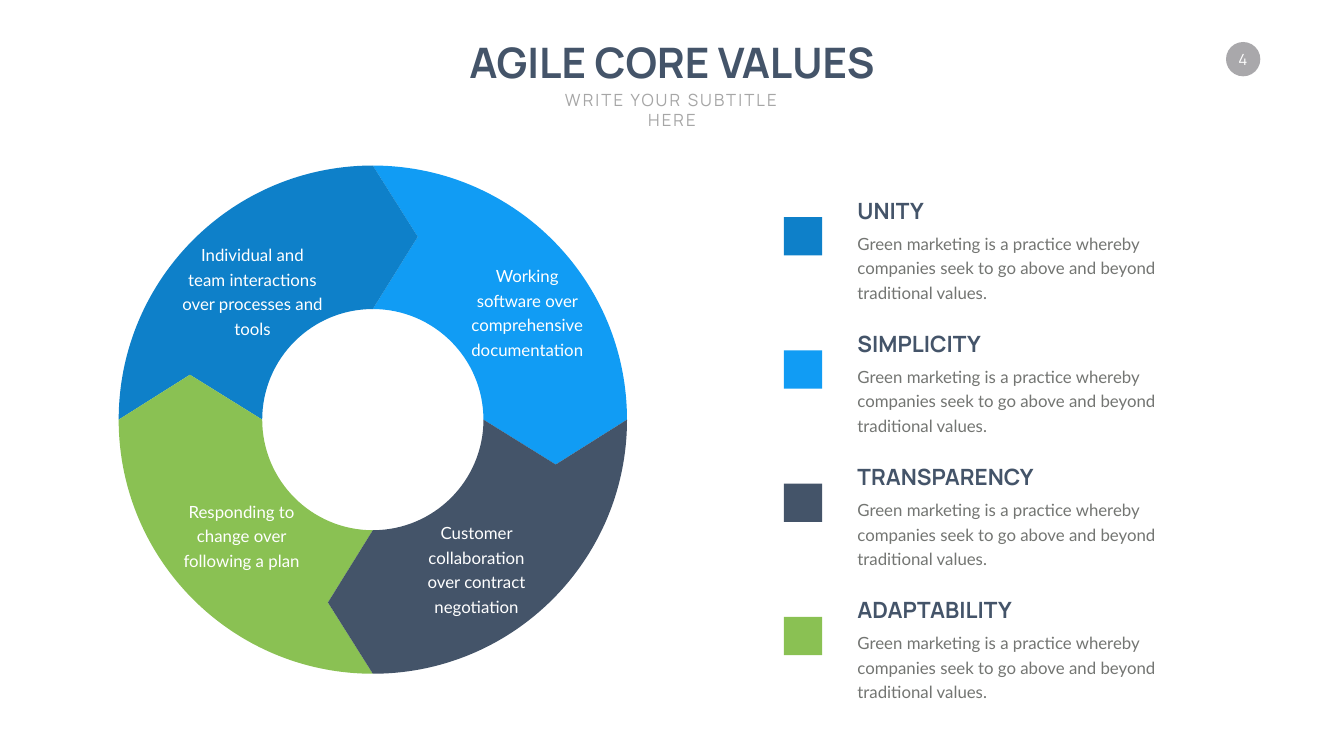
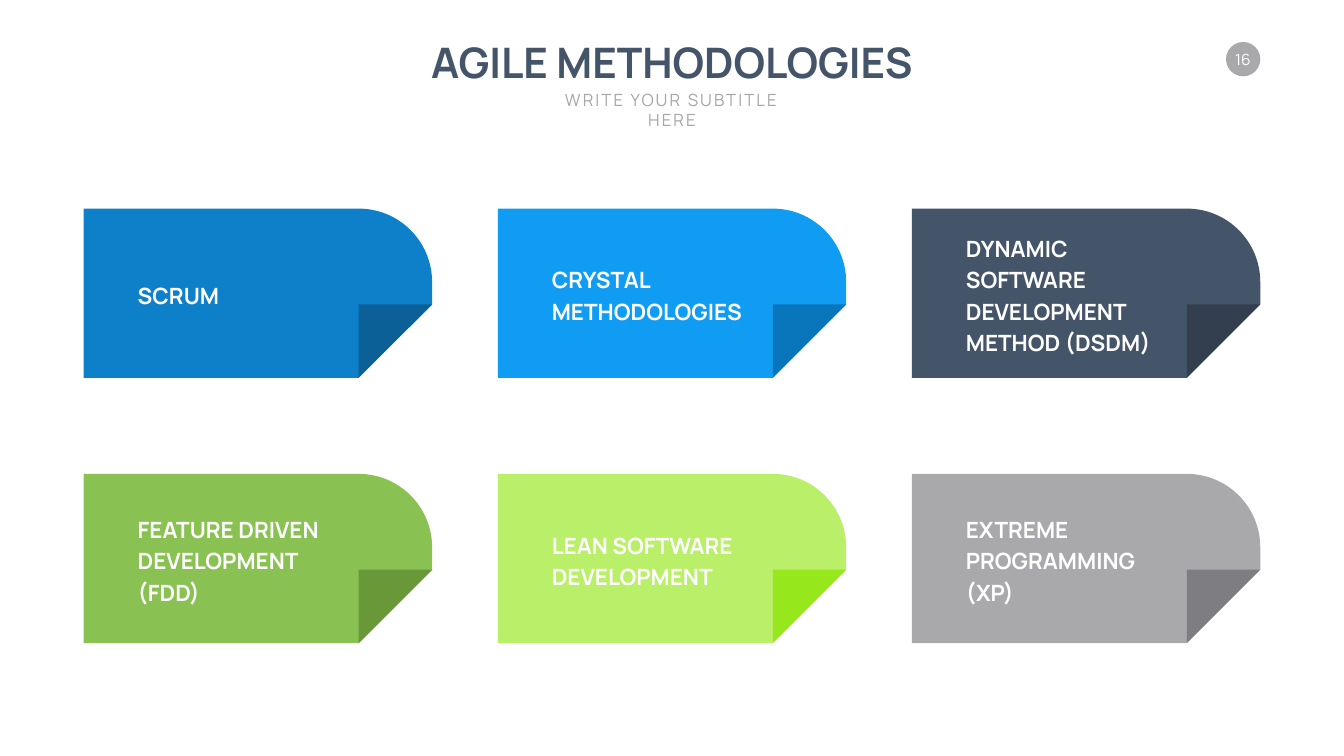
"""Build two agile slides: a ring of core values and a grid of methodologies."""
import dataclasses
import math

import lxml.etree
import pptx
import pptx.dml.color
import pptx.enum.shapes
import pptx.enum.text
import pptx.oxml.ns
import pptx.util

Pt = pptx.util.Pt
ALIGN = pptx.enum.text.PP_ALIGN
ANCHOR = pptx.enum.text.MSO_ANCHOR
SHAPE = pptx.enum.shapes.MSO_SHAPE


@dataclasses.dataclass(frozen=True)
class Style:
    font: str
    size: int
    color: str
    bold: bool = False
    leading: int = 0
    tracking: int = 0


class Theme:
    width, height = 1919.5, 1080
    white = "FFFFFF"
    blue, sky, navy = "0E80C9", "119CF4", "445469"
    green, lime, gray = "8AC153", "BAEF69", "A9A8AB"
    folds = {blue: "0A6097", sky: "0976BB", navy: "333F4F",
             green: "689837", lime: "96E71B", gray: "7E7D81"}
    title = Style("Manrope", 60, navy, bold=True)
    subtitle = Style("Manrope", 24, "A6A6A6", tracking=3)
    number = Style("Manrope", 22, white)
    heading = Style("Manrope", 32, navy, bold=True)
    card = Style("Manrope", 32, white, bold=True, leading=45)
    ring = Style("Lato", 24, white, leading=35)
    body = Style("Lato", 24, "737572", leading=35)


def polar(center, radius, degrees):
    angle = math.radians(degrees)
    return center[0] + radius * math.cos(angle), center[1] + radius * math.sin(angle)


def quarter_curve(center, radius, start, turn):
    reach = math.hypot(1, 0.5523)
    lean = math.copysign(math.degrees(math.atan(0.5523)), turn)
    end = start + turn
    return [polar(center, radius * reach, start + lean),
            polar(center, radius * reach, end - lean),
            polar(center, radius, end)]


class Builder:
    def __init__(self, theme):
        self.theme = theme
        self.deck = pptx.Presentation()
        self.deck.slide_width = Pt(theme.width)
        self.deck.slide_height = Pt(theme.height)
        self.page = None

    def start_page(self, title, title_width, number):
        self.page = self.deck.slides.add_slide(self.deck.slide_layouts[5])
        self.shape(SHAPE.OVAL, (1751, 60, 49, 49), self.theme.gray)
        self.text((1759, 71.3, 32.4, 26.6), [number], self.theme.number, ALIGN.CENTER,
                  ANCHOR.MIDDLE, wrap=False, inset=0)
        middle = self.theme.width / 2
        self.text((middle - title_width / 2, 48, title_width, 80), [title], self.theme.title,
                  ALIGN.CENTER, wrap=False, box=self.page.shapes.title)
        self.text((middle - 195.5, 124, 391, 36), ["WRITE YOUR SUBTITLE HERE"],
                  self.theme.subtitle, ALIGN.CENTER, wrap=False)

    def paint(self, shape, color):
        shape.shadow.inherit = False
        shape.fill.solid()
        shape.fill.fore_color.rgb = pptx.dml.color.RGBColor.from_string(color)
        shape.line.fill.background()

    def shape(self, kind, place, color):
        self.paint(self.page.shapes.add_shape(kind, *map(Pt, place)), color)

    def outline(self, start, steps, color):
        pen = self.page.shapes.build_freeform(*map(Pt, start))
        pen.add_line_segments([(Pt(x), Pt(y)) for step in steps for x, y in step], close=True)
        shape = pen.convert_to_shape()
        qn = pptx.oxml.ns.qn
        lines = iter(list(shape._element.iter(qn("a:lnTo"))))
        for step in steps:
            group = [next(lines) for _ in step]
            if len(group) == 3:
                curve = lxml.etree.Element(qn("a:cubicBezTo"))
                group[0].addprevious(curve)
                for line in group:
                    curve.append(line[0])
                    line.getparent().remove(line)
        self.paint(shape, color)

    def text(self, place, lines, style, align=ALIGN.LEFT, anchor=ANCHOR.TOP,
             wrap=True, inset=None, box=None):
        if box is None:
            box = self.page.shapes.add_textbox(*map(Pt, place))
        else:
            box.left, box.top, box.width, box.height = map(Pt, place)
        frame = box.text_frame
        frame.text = "\n".join(lines)
        frame.word_wrap = wrap
        frame.auto_size = pptx.enum.text.MSO_AUTO_SIZE.SHAPE_TO_FIT_TEXT
        frame.vertical_anchor = anchor
        if inset is not None:
            frame.margin_left = frame.margin_right = Pt(inset)
            frame.margin_top = frame.margin_bottom = Pt(inset)
        for para in frame.paragraphs:
            para.alignment = align
            if style.leading:
                para.line_spacing = Pt(style.leading)
            for span in para.runs:
                span.font.name = style.font
                span.font.size = Pt(style.size)
                span.font.bold = style.bold
                span.font.color.rgb = pptx.dml.color.RGBColor.from_string(style.color)
                if style.tracking:
                    span._r.get_or_add_rPr().set("spc", str(style.tracking * 100))

    def ring_segment(self, center, start, color):
        outer, inner, tip_radius, tip_turn = 363, 158, 269, 13.8
        end = start + 90
        steps = [quarter_curve(center, outer, start, 90),
                 [polar(center, tip_radius, end + tip_turn)],
                 [polar(center, inner, end)],
                 quarter_curve(center, inner, end, -90),
                 [polar(center, tip_radius, start + tip_turn)]]
        self.outline(polar(center, outer, start), steps, color)

    def legend_text(self, top, heading, heading_width):
        self.text((1217.5, top + 13.4, 533, 74),
                  ["Green marketing is a practice whereby companies seek to go "
                   "above and beyond traditional values."], self.theme.body)
        self.text((1217.5, top - 33, heading_width, 46), [heading], self.theme.heading,
                  anchor=ANCHOR.MIDDLE, wrap=False)

    def card(self, left, top, color):
        width, height, fold = 497.5, 241.7, 104.8
        right, bottom = left + width, top + height
        shoulder = right - fold
        foot, edge = (shoulder, bottom), (right, bottom - fold)
        self.outline(foot, [[(left, bottom)], [(left, top)], [(shoulder, top)],
                            quarter_curve((shoulder, top + fold), fold, -90, 90),
                            [edge]], color)
        self.outline(foot, [[(shoulder, bottom - fold)], [edge]], self.theme.folds[color])

    def card_text(self, left, top, lines, rows):
        height = rows * self.theme.card.leading + 7
        self.text((left + 70, top + 121 - height / 2, 288, height),
                  lines, self.theme.card, anchor=ANCHOR.MIDDLE)


def build_values(builder):
    theme = builder.theme
    builder.start_page("AGILE CORE VALUES", 608, "4")
    for start, color in [(-90, theme.sky), (180, theme.blue),
                         (90, theme.green), (0, theme.navy)]:
        builder.ring_segment((532.5, 599.5), start, color)
    captions = [
        ((253, 341, 215, 145), "Individual and team interactions over processes and tools"),
        ((659, 371.5, 188, 145), "Working software over comprehensive documentation"),
        ((585.5, 738, 190, 145), "Customer collaboration over contract negotiation"),
        ((253, 708.5, 184, 109), "Responding to change over following a plan"),
    ]
    for place, caption in captions:
        builder.text(place, [caption], theme.ring, ALIGN.CENTER, ANCHOR.MIDDLE)
    tops = [310.3 + 190.3 * index for index in range(4)]
    for top, color in zip(tops, [theme.blue, theme.sky, theme.navy, theme.green]):
        builder.shape(SHAPE.RECTANGLE, (1119.6, top, 54.7, 54.7), color)
    headings = [("UNITY", 112), ("SIMPLICITY", 194),
                ("TRANSPARENCY", 276), ("ADAPTABILITY", 246)]
    for top, heading in zip(tops, headings):
        builder.legend_text(top, *heading)


def build_methodologies(builder):
    theme = builder.theme
    builder.start_page("AGILE METHODOLOGIES", 716, "16")
    spots = [(119.6 + 591.4 * column, 298 + 379 * row)
             for row in range(2) for column in range(3)]
    for spot, color in zip(spots, theme.folds):
        builder.card(*spot, color)
    labels = [
        (["SCRUM"], 1),
        (["CRYSTAL", "METHODOLOGIES"], 2),
        (["DYNAMIC SOFTWARE DEVELOPMENT", "METHOD (DSDM)"], 4),
        (["FEATURE DRIVEN", "DEVELOPMENT (FDD)"], 3),
        (["LEAN SOFTWARE", "DEVELOPMENT"], 2),
        (["EXTREME", "PROGRAMMING (XP)"], 3),
    ]
    for spot, label in zip(spots, labels):
        builder.card_text(*spot, *label)


def main():
    builder = Builder(Theme())
    build_values(builder)
    build_methodologies(builder)
    builder.deck.save("out.pptx")


if __name__ == "__main__":
    main()
